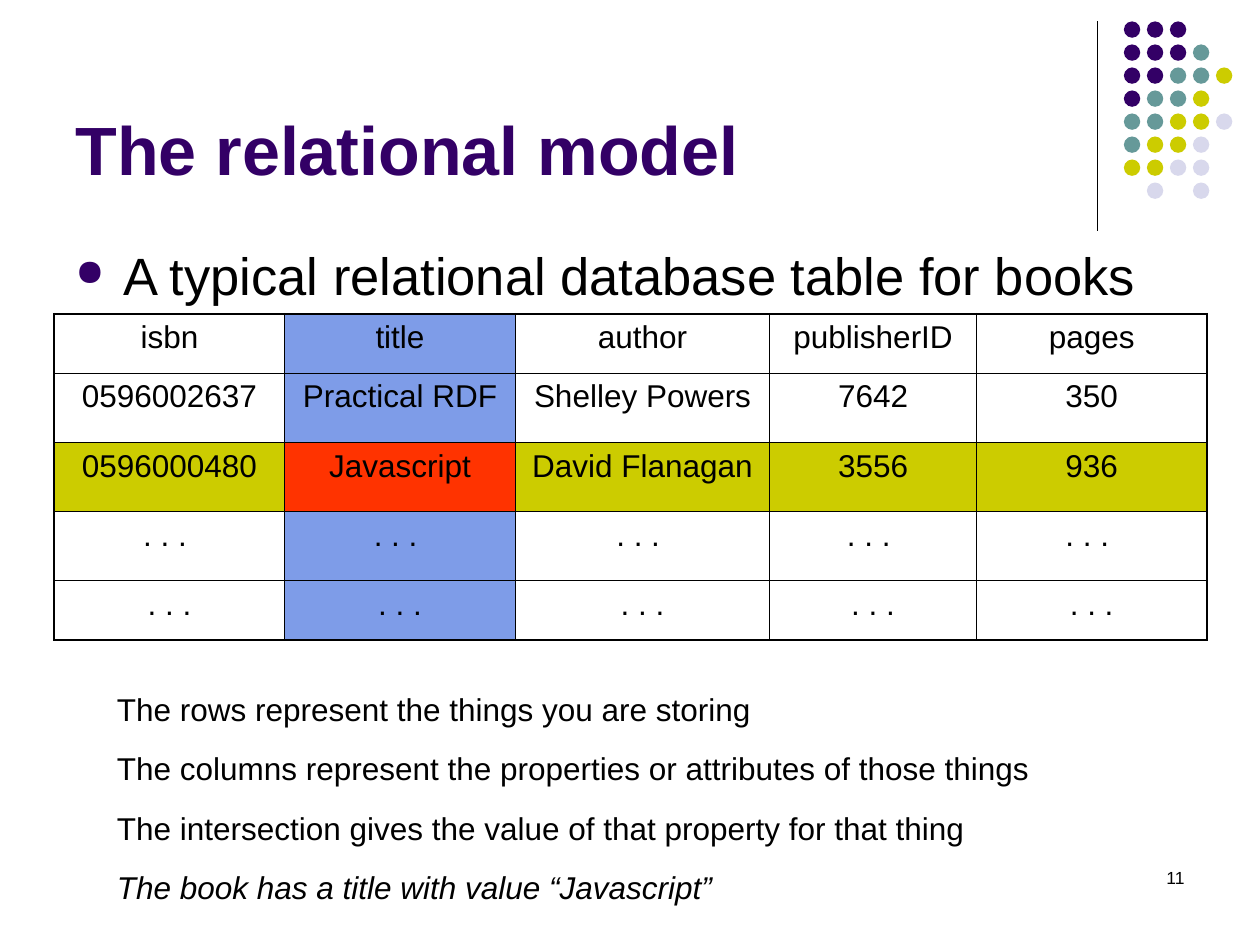
from dataclasses import dataclass

from lxml import etree
from pptx import Presentation, util as u
from pptx.dml.color import RGBColor
from pptx.enum import shapes, text
from pptx.oxml.ns import qn


@dataclass(frozen=True)
class Theme:
    font: str = "Arial"
    ink: str = "000000"
    purple: str = "330066"
    teal: str = "669999"
    olive: str = "CCCC00"
    lavender: str = "D8D8EC"
    column: str = "7E9CE8"
    crossing: str = "FF3300"
    title_size: float = 39
    body_size: float = 30
    text_size: float = 18
    number_size: float = 10
    outer_border: float = 1.08
    inner_border: float = 0.45


THEME = Theme()

TITLE = "The relational model"
BULLET = "A typical relational database table for books"
PAGE_NUMBER = "11"
BOOKS = [
    ("isbn", "title", "author", "publisherID", "pages"),
    ("0596002637", "Practical RDF", "Shelley Powers", "7642", "350"),
    ("0596000480", "Javascript", "David Flanagan", "3556", "936"),
    (". . . ",) * 5,
    (". . .",) * 5,
]
COLUMN_WIDTHS = (1.83, 1.83, 2.02, 1.64, 1.83)
ROW_HEIGHTS = (0.47, 0.55, 0.55, 0.55, 0.47)
MARKED_ROW, MARKED_COLUMN = 2, 1
NOTES = [
    "The rows represent the things you are storing",
    "The columns represent the properties or attributes of those things",
    "The intersection gives the value of that property for that thing",
    "The book has a title with value “Javascript”",
]
DOTS = ["PPP", "PPPT", "PPTTO", "PTTO", "TTOOL", "TOOL", "OOLL", " L L"]
DOT_COLOURS = {"P": THEME.purple, "T": THEME.teal, "O": THEME.olive, "L": THEME.lavender}
DOT_LEFT, DOT_TOP, DOT_STEP, DOT_SIZE = 8.92, 0.17, 0.18, 0.13


def colour(value):
    return RGBColor.from_string(value)


def style(paragraph, size, ink=THEME.ink, bold=False, italic=False):
    font = paragraph.font
    font.name, font.size = THEME.font, u.Pt(size)
    font.bold, font.italic = bold, italic
    font.color.rgb = colour(ink)


def add_text(slide, box, lines, size, anchor=text.MSO_ANCHOR.TOP, gap=0, **look):
    """Add a wrapping text box and return its paragraphs."""
    frame = slide.shapes.add_textbox(*map(u.Inches, box)).text_frame
    frame.word_wrap = True
    frame.vertical_anchor = anchor
    frame.text = "\n".join(lines)
    for index, paragraph in enumerate(frame.paragraphs):
        if index:
            paragraph.space_before = u.Pt(gap)
        style(paragraph, size, **look)
    return frame.paragraphs


def add_bullet(paragraph, indent):
    properties = paragraph._p.get_or_add_pPr()
    properties.set("marL", str(u.Inches(indent)))
    properties.set("indent", str(-u.Inches(indent)))
    bullet_colour = etree.SubElement(properties, qn("a:buClr"))
    etree.SubElement(bullet_colour, qn("a:srgbClr"), val=THEME.purple)
    etree.SubElement(properties, qn("a:buSzPct"), val="70000")
    etree.SubElement(properties, qn("a:buChar"), char="●")


def add_dots(slide):
    for row, pattern in enumerate(DOTS):
        for column, key in enumerate(pattern):
            if key == " ":
                continue
            box = (DOT_LEFT + column * DOT_STEP * 1.015, DOT_TOP + row * DOT_STEP * 1.015,
                   DOT_SIZE, DOT_SIZE)
            dot = slide.shapes.add_shape(shapes.MSO_SHAPE.OVAL, *map(u.Inches, box))
            dot.shadow.inherit = False
            dot.fill.solid()
            dot.fill.fore_color.rgb = colour(DOT_COLOURS[key])
            dot.line.fill.background()


def add_divider(slide):
    line = slide.shapes.add_connector(
        shapes.MSO_CONNECTOR.STRAIGHT, *map(u.Inches, (8.71, 0.17, 8.71, 1.83)))
    line.line.color.rgb = colour(THEME.ink)
    line.line.width = u.Pt(0.75)
    etree.SubElement(line._element.spPr, qn("a:effectLst"))


def cell_fill(row, column):
    if row == MARKED_ROW:
        return THEME.crossing if column == MARKED_COLUMN else THEME.olive
    return THEME.column if column == MARKED_COLUMN else None


def add_borders(cell, row, column):
    """Draw the four edges, heavier where they lie on the table's outline."""
    properties = cell._tc.get_or_add_tcPr()
    outer = {
        "a:lnL": column == 0,
        "a:lnR": column == len(COLUMN_WIDTHS) - 1,
        "a:lnT": row == 0,
        "a:lnB": row == len(ROW_HEIGHTS) - 1,
    }
    for position, (edge, on_outline) in enumerate(outer.items()):
        width = THEME.outer_border if on_outline else THEME.inner_border
        line = etree.Element(qn(edge), w=str(u.Pt(width)))
        fill = etree.SubElement(line, qn("a:solidFill"))
        etree.SubElement(fill, qn("a:srgbClr"), val=THEME.ink)
        properties.insert(position, line)


def add_book_table(slide):
    box = (0.43, 2.49, sum(COLUMN_WIDTHS), sum(ROW_HEIGHTS))
    table = slide.shapes.add_table(
        len(ROW_HEIGHTS), len(COLUMN_WIDTHS), *map(u.Inches, box)).table
    table.first_row = table.horz_banding = False
    for column, width in zip(table.columns, COLUMN_WIDTHS):
        column.width = u.Inches(width)
    for row, height in zip(table.rows, ROW_HEIGHTS):
        row.height = u.Inches(height)
    for row, values in enumerate(BOOKS):
        for column, value in enumerate(values):
            cell = table.cell(row, column)
            cell.text = value
            paragraph = cell.text_frame.paragraphs[0]
            paragraph.alignment = text.PP_ALIGN.CENTER
            style(paragraph, THEME.text_size)
            fill = cell_fill(row, column)
            if fill:
                cell.fill.solid()
                cell.fill.fore_color.rgb = colour(fill)
            else:
                cell.fill.background()
            add_borders(cell, row, column)


def main():
    presentation = Presentation()
    presentation.slide_width, presentation.slide_height = u.Inches(10), u.Inches(7.5)
    slide = presentation.slides.add_slide(presentation.slide_layouts[6])

    add_divider(slide)
    add_dots(slide)
    number = add_text(slide, (7.17, 6.83, 2.33, 0.5), [PAGE_NUMBER], THEME.number_size)
    number[0].alignment = text.PP_ALIGN.RIGHT
    add_text(slide, (0.5, 0.13, 8.25, 1.42), [TITLE], THEME.title_size,
             anchor=text.MSO_ANCHOR.BOTTOM, ink=THEME.purple, bold=True)
    body = add_text(slide, (0.5, 1.88, 9, 4.82), [BULLET], THEME.body_size)
    add_bullet(body[0], 0.38)
    add_book_table(slide)
    notes = add_text(slide, (0.83, 5.43, 7.95, 1.77), NOTES, THEME.text_size, gap=12.2)
    notes[-1].font.italic = True

    presentation.save("out.pptx")


if __name__ == "__main__":
    main()
